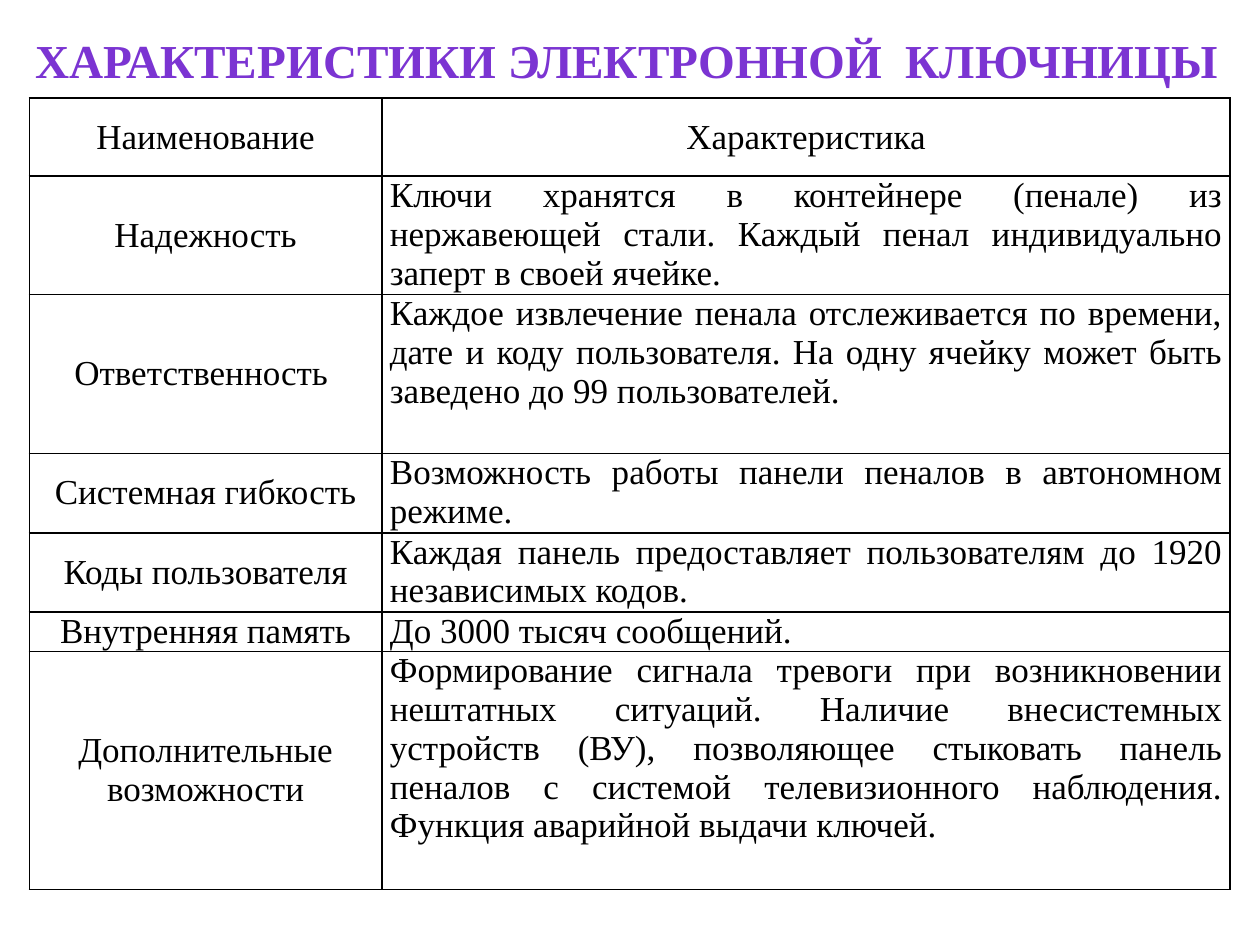
import dataclasses
import lxml.etree
import pptx
import pptx.dml.color
import pptx.enum.text
import pptx.oxml.ns
import pptx.util

Cm, Pt = pptx.util.Cm, pptx.util.Pt
RGB = pptx.dml.color.RGBColor
ALIGN = pptx.enum.text.PP_ALIGN
ANCHOR = pptx.enum.text.MSO_ANCHOR
qn = pptx.oxml.ns.qn


@dataclasses.dataclass(frozen=True)
class Theme:
    font: str = "Times New Roman"
    title_size: int = 27
    body_size: int = 20
    title_color: str = "7B34D2"
    ink: str = "000000"
    border: int = 1


TITLE = "ХАРАКТЕРИСТИКИ ЭЛЕКТРОННОЙ  КЛЮЧНИЦЫ "
HEADER = ("Наименование", "Характеристика")
FEATURES = [
    ("Надежность",
     "Ключи хранятся в контейнере (пенале) из нержавеющей стали. "
     "Каждый пенал индивидуально заперт в своей ячейке."),
    ("Ответственность ",
     "Каждое извлечение пенала отслеживается по времени, дате и коду "
     "пользователя. На одну ячейку может быть заведено до 99 пользователей."),
    ("Системная гибкость",
     "Возможность работы панели пеналов в автономном режиме. "),
    ("Коды пользователя",
     "Каждая панель предоставляет пользователям до 1920 независимых кодов."),
    ("Внутренняя память", "До 3000 тысяч сообщений."),
    ("Дополнительные возможности",
     "Формирование сигнала тревоги при возникновении нештатных ситуаций. "
     "Наличие внесистемных устройств (ВУ), позволяющее стыковать панель "
     "пеналов с системой телевизионного наблюдения. "
     "Функция аварийной выдачи ключей."),
]
COLUMN_WIDTHS = (7.11, 17.1)
ROW_HEIGHTS = (1.57, 2.39, 3.2, 1.6, 1.6, 0.79, 4.8)


def set_all(obj, values):
    for name, value in values.items():
        setattr(obj, name, value)


class Deck:
    def __init__(self, theme):
        self.theme = theme
        self.prs = pptx.Presentation()
        set_all(self.prs, {"slide_width": Cm(25.4), "slide_height": Cm(19.05)})
        self.s = self.prs.slides.add_slide(self.prs.slide_layouts[5])

    def add_text(self, tf, text, align, size, color, bold=False):
        p = tf.paragraphs[0]
        p.alignment = align
        r = p.add_run()
        r.text = text
        set_all(r.font, {"name": self.theme.font, "size": Pt(size), "bold": bold})
        r.font.color.rgb = RGB.from_string(color)

    def title(self, text, left, top, width, height):
        sp = self.s.shapes.title
        set_all(sp, {"left": Cm(left), "top": Cm(top),
                     "width": Cm(width), "height": Cm(height)})
        tf = sp.text_frame
        set_all(tf, {"word_wrap": True, "vertical_anchor": ANCHOR.TOP,
                     "auto_size": pptx.enum.text.MSO_AUTO_SIZE.NONE})
        self.add_text(tf, text, ALIGN.CENTER, self.theme.title_size,
                      self.theme.title_color, bold=True)

    def borders(self, cell):
        tc_pr = cell._tc.get_or_add_tcPr()
        for side in ("a:lnL", "a:lnR", "a:lnT", "a:lnB"):
            ln = lxml.etree.SubElement(tc_pr, qn(side), w=str(Pt(self.theme.border)))
            fill = lxml.etree.SubElement(ln, qn("a:solidFill"))
            lxml.etree.SubElement(fill, qn("a:srgbClr"), val=self.theme.ink)

    def cell(self, cell, text, centered):
        set_all(cell, {
            "margin_left": Cm(0.16), "margin_right": Cm(0.16),
            "margin_top": 0, "margin_bottom": 0,
            "vertical_anchor": ANCHOR.MIDDLE if centered else ANCHOR.TOP,
        })
        self.borders(cell)
        cell.fill.background()
        self.add_text(cell.text_frame, text,
                      ALIGN.CENTER if centered else ALIGN.JUSTIFY,
                      self.theme.body_size, self.theme.ink)

    def table(self, rows, left, top, widths, heights):
        """Header row and first column are centred, the rest is justified."""
        table = self.s.shapes.add_table(
            len(rows), len(widths), Cm(left), Cm(top),
            Cm(sum(widths)), Cm(sum(heights))).table
        set_all(table, {"first_row": False, "horz_banding": False})
        for column, width in zip(table.columns, widths):
            column.width = Cm(width)
        for i, (row, height) in enumerate(zip(rows, heights)):
            table.rows[i].height = Cm(height)
            for j, text in enumerate(row):
                self.cell(table.cell(i, j), text, centered=i == 0 or j == 0)


def main():
    deck = Deck(Theme())
    deck.title(TITLE, 0.3, 0.5, 24.9, 1.42)
    deck.table([HEADER, *FEATURES], 0.59, 1.98, COLUMN_WIDTHS, ROW_HEIGHTS)
    deck.prs.save("out.pptx")


if __name__ == "__main__":
    main()
